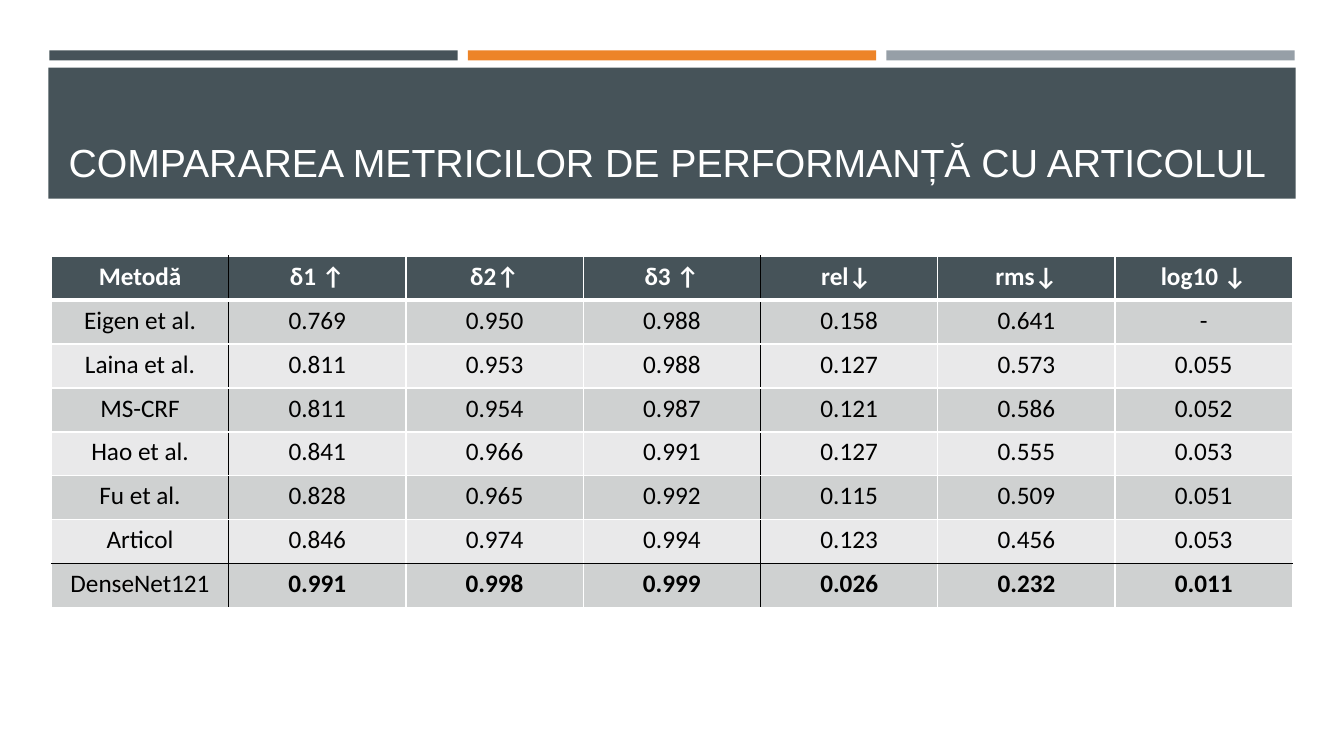
import pptx
import pptx.util
import pptx.dml.color
import pptx.enum.shapes
import pptx.enum.text
import pptx.oxml.ns
from lxml import etree
from pptx.util import Inches

SLATE, ORANGE, GREY = "465359", "ED8428", "969FA7"
WHITE, BLACK = "FFFFFF", "000000"
STRIPES = ("CFD1D1", "E9E9EA")

HEADER = ["Metodă", "δ1 ↑", "δ2↑", "δ3 ↑", "rel↓ ", "rms↓", "log10 ↓"]
METHODS = [
    ["Eigen et al.", "0.769", "0.950", "0.988", "0.158", "0.641", "-"],
    ["Laina et al.", "0.811", "0.953", "0.988", "0.127", "0.573", "0.055"],
    ["MS-CRF", "0.811", "0.954", "0.987", "0.121", "0.586", "0.052"],
    ["Hao et al.", "0.841", "0.966", "0.991", "0.127", "0.555", "0.053"],
    ["Fu et al.", "0.828", "0.965", "0.992", "0.115", "0.509", "0.051"],
    ["Articol", "0.846", "0.974", "0.994", "0.123", "0.456", "0.053"],
    ["DenseNet121", "0.991", "0.998", "0.999", "0.026", "0.232", "0.011"],
]
BLACK_COLUMN_EDGES = (1, 4)  # after the method names and after the δ columns


def rgb(color):
    return pptx.dml.color.RGBColor.from_string(color)


def set_text(tf, text, size=18, font="Calibri", color=BLACK, bold=False,
             align=pptx.enum.text.PP_ALIGN.CENTER):
    p = tf.paragraphs[0]
    p.alignment = align
    r = p.add_run()
    r.text = text
    r.font.size = pptx.util.Pt(size)
    r.font.name = font
    r.font.bold = bold
    r.font.color.rgb = rgb(color)


def add_bar(s, left, top, width, height, color):
    sp = s.shapes.add_shape(pptx.enum.shapes.MSO_SHAPE.RECTANGLE,
                            Inches(left), Inches(top), Inches(width), Inches(height))
    sp.shadow.inherit = False
    sp.fill.solid()
    sp.fill.fore_color.rgb = rgb(color)
    sp.line.fill.background()


def set_title(s, text):
    sp = s.shapes.title
    sp.left, sp.top = Inches(0.58), Inches(0.78)
    sp.width, sp.height = Inches(12.18), Inches(1.11)
    tf = sp.text_frame
    tf.word_wrap = True
    tf.auto_size = pptx.enum.text.MSO_AUTO_SIZE.NONE
    tf.vertical_anchor = pptx.enum.text.MSO_ANCHOR.BOTTOM
    set_text(tf, text, size=28, font="Arial", color=WHITE,
             align=pptx.enum.text.PP_ALIGN.LEFT)
    # Bring the title in front of its band
    sp.element.getparent().append(sp.element)


def add_border(cell, side, color, width):
    qn = pptx.oxml.ns.qn
    tc_pr = cell._tc.get_or_add_tcPr()
    ln = etree.SubElement(tc_pr, qn(f"a:ln{side}"), w=str(pptx.util.Pt(width)))
    fill = etree.SubElement(ln, qn("a:solidFill"))
    etree.SubElement(fill, qn("a:srgbClr"), val=color)


def column_edge(i):
    return (BLACK if i in BLACK_COLUMN_EDGES else WHITE), 1


def row_edge(i):
    # Thick line under the header, black line above the last row
    return (BLACK if i == len(METHODS) else WHITE), (3 if i == 1 else 1)


def add_metrics_table(s, left, top, width, height):
    rows = [HEADER] + METHODS
    table = s.shapes.add_table(len(rows), len(HEADER), Inches(left), Inches(top),
                               Inches(width), Inches(height)).table
    for column in table.columns:
        column.width = Inches(width / len(HEADER))
    for row in table.rows:
        row.height = Inches(height / len(rows))
    for i, values in enumerate(rows):
        for j, value in enumerate(values):
            cell = table.cell(i, j)
            is_header = i == 0
            is_best = i == len(METHODS) and j > 0
            set_text(cell.text_frame, value, color=WHITE if is_header else BLACK,
                     bold=is_header or is_best)
            # Borders come before the fill in the cell properties
            add_border(cell, "L", *column_edge(j))
            add_border(cell, "R", *column_edge(j + 1))
            add_border(cell, "T", *row_edge(i))
            add_border(cell, "B", *row_edge(i + 1))
            cell.fill.solid()
            cell.fill.fore_color.rgb = rgb(SLATE if is_header else STRIPES[(i - 1) % 2])


def main():
    prs = pptx.Presentation()
    prs.slide_width, prs.slide_height = Inches(13.33), Inches(7.5)
    s = prs.slides.add_slide(prs.slide_layouts[5])

    # Three accent bars and the title band
    for i, color in enumerate((SLATE, ORANGE, GREY)):
        add_bar(s, 0.49 + 4.15 * i, 0.5, 4.05, 0.1, color)
    add_bar(s, 0.48, 0.67, 12.37, 1.3, SLATE)
    set_title(s, "COMPARAREA METRICILOR DE PERFORMANȚĂ CU ARTICOLUL")

    # Comparison of the methods
    add_metrics_table(s, 0.51, 2.54, 12.31, 3.49)

    prs.save("out.pptx")


if __name__ == "__main__":
    main()
